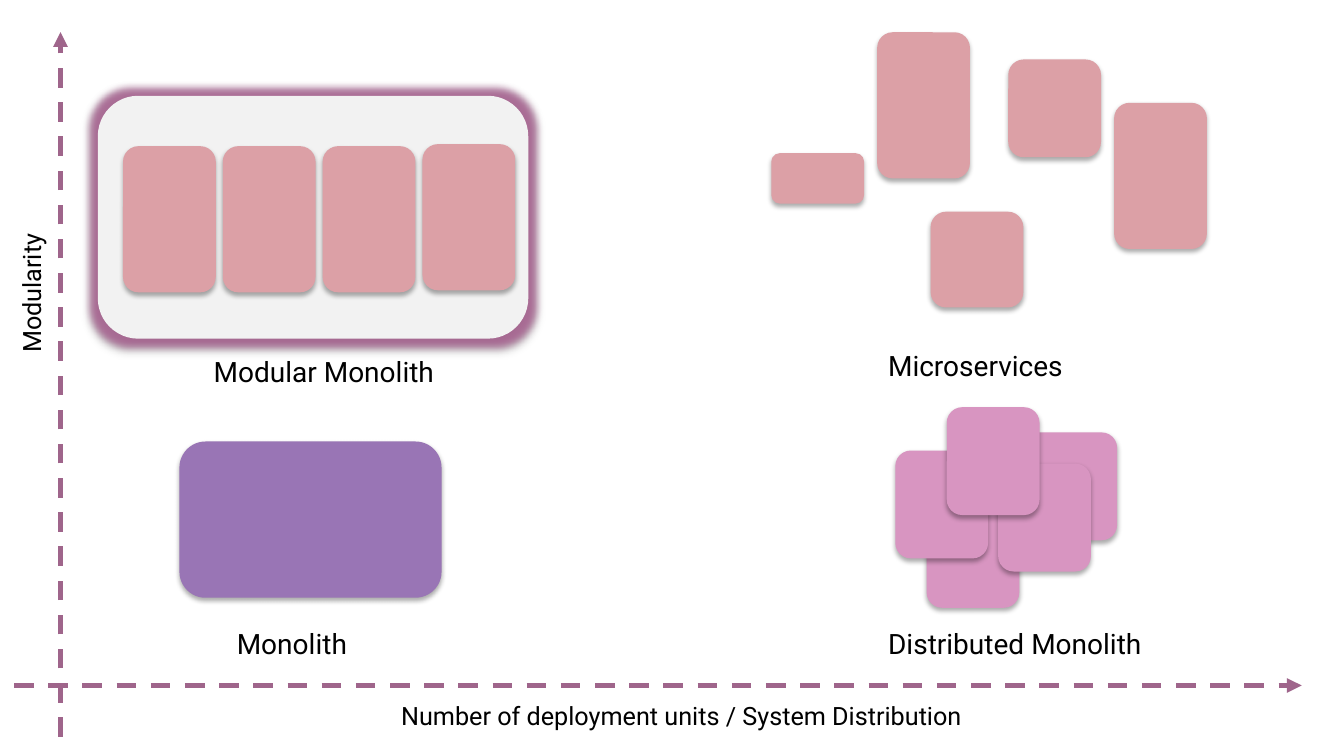
"""Build a slide comparing architectures by modularity and distribution."""
from collections import namedtuple

from pptx import Presentation
from pptx.dml.color import RGBColor
from pptx.enum.dml import MSO_LINE_DASH_STYLE as Dash
from pptx.enum.shapes import MSO_CONNECTOR as Connector
from pptx.enum.shapes import MSO_SHAPE as Shape
from pptx.enum.text import MSO_AUTO_SIZE as AutoSize
from pptx.oxml import parse_xml
from pptx.oxml.ns import nsdecls, qn
from pptx.oxml.xmlchemy import OxmlElement
from pptx.util import Inches, Pt

Box = namedtuple("Box", "left top width height")

WIDTH, HEIGHT = 13.33, 7.5
FONT = "Roboto"
BLACK = RGBColor(0x00, 0x00, 0x00)
AXIS = RGBColor(0x9F, 0x65, 0x8B)
PURPLE = RGBColor(0x99, 0x75, 0xB5)
GREY = RGBColor(0xF2, 0xF2, 0xF2)
ROSE = RGBColor(0xDC, 0xA0, 0xA6)
PINK = RGBColor(0xD8, 0x95, 0xC1)
GLOW = RGBColor(0xA5, 0x5A, 0x8C)

MODULE_WIDTH, MODULE_HEIGHT = 0.92, 1.45
MODULE_PITCH = 0.99
UNIT_HEIGHT = 1.07
SERVICES = [(2.35, 0.27, 0.97), (1.58, 1.78, 0.95), (0, 1.2, 0.5),
            (3.4, 0.7, MODULE_HEIGHT), (1.05, 0, MODULE_HEIGHT)]
UNITS = [(1.28, 0.25), (0.31, 0.92), (0, 0.43), (1.02, 0.56), (0.51, 0)]


def inset(box, left, top, width, height):
    """Return a box placed relative to the corner of another box."""
    return Box(box.left + left, box.top + top, width, height)


def add_effects(shape, glow=None):
    """Give a shape a soft drop shadow and, if asked, a coloured glow."""
    halo = ""
    if glow is not None:
        halo = (f'<a:glow rad="{Pt(11)}"><a:srgbClr val="{glow}">'
                '<a:alpha val="80000"/></a:srgbClr></a:glow>')
    shape._element.spPr.append(parse_xml(
        f'<a:effectLst {nsdecls("a")}>{halo}'
        f'<a:outerShdw blurRad="{Pt(3.5)}" dist="{Pt(2.2)}" dir="5400000" '
        'rotWithShape="0"><a:srgbClr val="000000"><a:alpha val="32000"/>'
        '</a:srgbClr></a:outerShdw></a:effectLst>'))


def add_block(slide, box, color, glow=None):
    """Draw one rounded block without an outline."""
    shape = slide.shapes.add_shape(Shape.ROUNDED_RECTANGLE, *map(Inches, box))
    shape.fill.solid()
    shape.fill.fore_color.rgb = color
    shape.line.fill.background()
    add_effects(shape, glow)


def add_label(slide, box, text, size=20, vertical=False):
    """Write one line of text, turned upwards if vertical."""
    frame = slide.shapes.add_textbox(*map(Inches, box)).text_frame
    frame.word_wrap = False
    frame.auto_size = AutoSize.SHAPE_TO_FIT_TEXT
    if vertical:
        frame._txBody.find(qn("a:bodyPr")).set("vert", "vert270")
    paragraph = frame.paragraphs[0]
    paragraph.text = text
    paragraph.font.name = FONT
    paragraph.font.size = Pt(size)
    paragraph.font.color.rgb = BLACK


def add_axis(slide, start, end):
    """Draw one dashed axis with an arrowhead at its end."""
    axis = slide.shapes.add_connector(
        Connector.STRAIGHT, *map(Inches, (*start, *end)))
    axis.line.color.rgb = AXIS
    axis.line.width = Pt(3.5)
    axis.line.dash_style = Dash.DASH
    arrowhead = OxmlElement("a:tailEnd")
    arrowhead.set("type", "triangle")
    axis.line._get_or_add_ln().append(arrowhead)
    axis._element.spPr.append(OxmlElement("a:effectLst"))


def add_axes(slide, box):
    """Draw both axes and their titles inside a box."""
    right, bottom = box.left + box.width, box.top + box.height
    across, up = bottom - 0.51, box.left + 0.46
    add_axis(slide, (up, bottom), (up, box.top))
    add_axis(slide, (box.left, across), (right, across))
    add_label(slide, inset(box, -0.03, 1.96, 0.5, 1.32),
              "Modularity", 18, vertical=True)
    add_label(slide, inset(box, 3.74, 6.58, 5.92, 0.4),
              "Number of deployment units / System Distribution", 18)


def add_monolith(slide, box):
    """Draw the single block of a monolith."""
    add_block(slide, box, PURPLE)
    add_label(slide, inset(box, 0.47, 1.79, 1.32, 0.44), "Monolith")


def add_modular_monolith(slide, box):
    """Draw a glowing container with a row of modules."""
    add_label(slide, inset(box, 1.05, 2.52, 2.44, 0.44), "Modular Monolith")
    add_block(slide, box, GREY, GLOW)
    for index, top in enumerate((0.5, 0.5, 0.5, 0.48)):
        left = 0.25 + index * MODULE_PITCH
        add_block(slide, inset(box, left, top, MODULE_WIDTH, MODULE_HEIGHT),
                  ROSE)


def add_microservices(slide, box):
    """Scatter separate services of different heights."""
    for left, top, height in SERVICES:
        add_block(slide, inset(box, left, top, MODULE_WIDTH, height), ROSE)
    add_label(slide, inset(box, 1.06, 3.09, 1.97, 0.44), "Microservices")


def add_distributed_monolith(slide, box):
    """Pile up overlapping units of equal size."""
    for left, top in UNITS:
        add_block(slide, inset(box, left, top, MODULE_WIDTH, UNIT_HEIGHT),
                  PINK)
    add_label(slide, inset(box, -0.17, 2.13, 2.78, 0.44),
              "Distributed Monolith")


def main():
    """Build and save the presentation."""
    presentation = Presentation()
    presentation.slide_width = Inches(WIDTH)
    presentation.slide_height = Inches(HEIGHT)
    slide = presentation.slides.add_slide(presentation.slide_layouts[6])
    add_axes(slide, Box(0.14, 0.32, 12.77, 6.99))
    add_monolith(slide, Box(1.78, 4.38, 2.6, 1.55))
    add_modular_monolith(slide, Box(0.97, 0.95, 4.27, 2.41))
    add_microservices(slide, Box(7.65, 0.32, 4.32, 2.73))
    add_distributed_monolith(slide, Box(8.88, 4.04, 2.2, 1.99))
    presentation.save("out.pptx")


if __name__ == "__main__":
    main()
